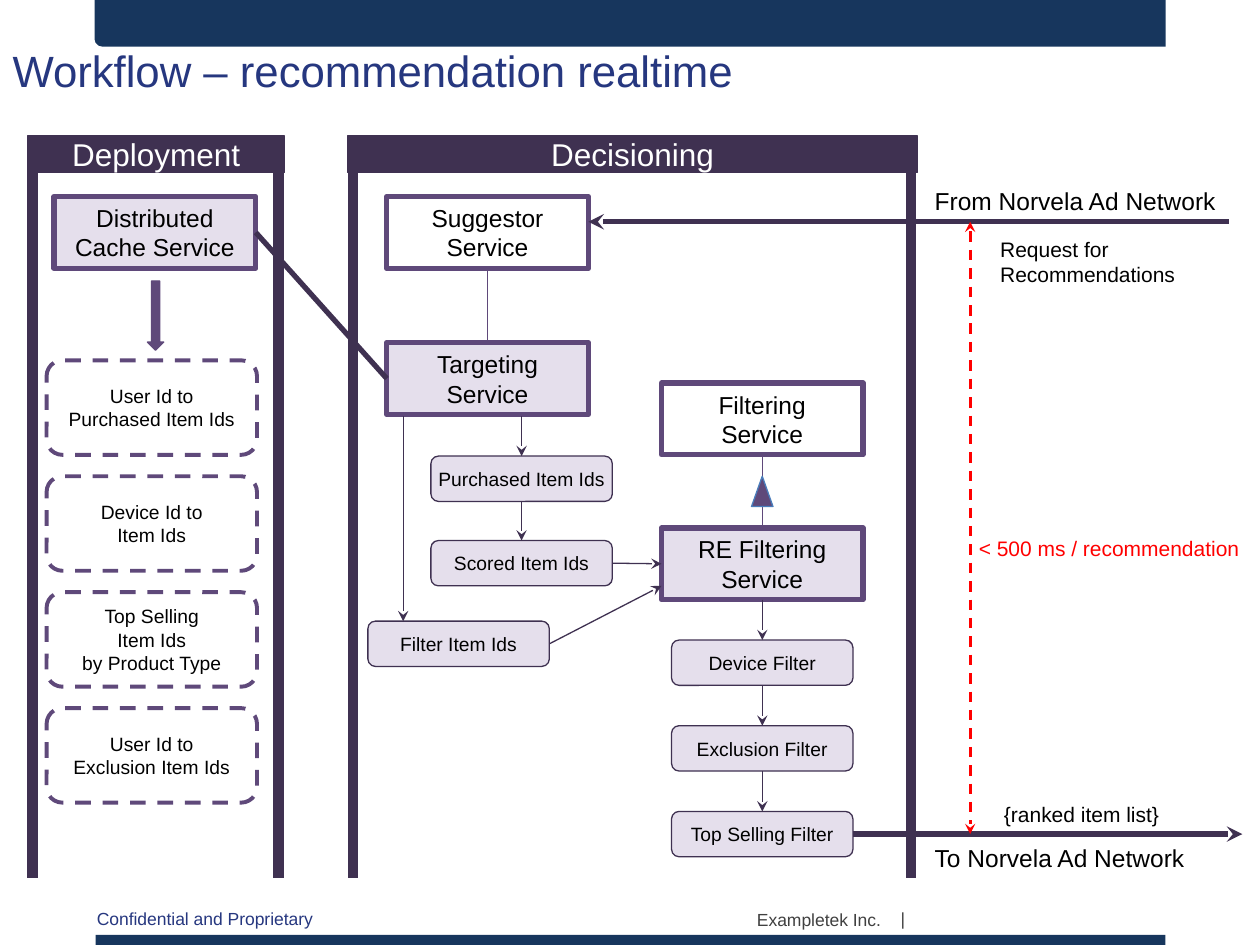
from lxml.etree import SubElement
from pptx import Presentation
from pptx.dml.color import RGBColor
from pptx.enum.dml import MSO_LINE
from pptx.enum.shapes import MSO_CONNECTOR, MSO_SHAPE as Shape
from pptx.enum.text import MSO_ANCHOR as Anchor, PP_ALIGN as Align
from pptx.oxml.ns import qn
from pptx.util import Inches, Pt

NAVY = RGBColor(0x17, 0x36, 0x5D)
BLUE = RGBColor(0x26, 0x37, 0x7F)
DARK = RGBColor(0x3F, 0x31, 0x51)
PURPLE = RGBColor(0x5F, 0x49, 0x7A)
LILAC = RGBColor(0xE5, 0xDF, 0xEC)
EDGE = RGBColor(0x4A, 0x7D, 0xBB)
GREY = RGBColor(0x40, 0x40, 0x40)
RED = RGBColor(0xFF, 0x00, 0x00)
BLACK = RGBColor(0x00, 0x00, 0x00)
WHITE = RGBColor(0xFF, 0xFF, 0xFF)

COLUMNS, ROWS = 100, 75
TOP, LEFT, BOTTOM, RIGHT = range(4)


def write(frame, text, size=11, color=BLACK, align=Align.CENTER,
          anchor=Anchor.MIDDLE, inset=0.0):
    """Fill a text frame, one paragraph for each line of text."""
    frame.word_wrap = True
    frame.vertical_anchor = anchor
    frame.margin_left = frame.margin_right = Inches(inset)
    frame.margin_top = frame.margin_bottom = Inches(inset / 2)
    for index, line in enumerate(text.split("\n")):
        paragraph = frame.add_paragraph() if index else frame.paragraphs[0]
        paragraph.text = line
        paragraph.alignment = align
        paragraph.font.name = "Arial"
        paragraph.font.size = Pt(size)
        paragraph.font.color.rgb = color


class Diagram:
    """Draws on one slide, in grid columns and rows."""

    def __init__(self, presentation):
        self.column = presentation.slide_width / COLUMNS
        self.row = presentation.slide_height / ROWS
        self.slide = presentation.slides.add_slide(presentation.slide_layouts[5])

    def place(self, *lengths):
        units = (self.column, self.row) * 2
        return [round(length * unit) for length, unit in zip(lengths, units)]

    def title(self, text):
        title = self.slide.shapes.title
        title.left, title.top, title.width, title.height = self.place(0, 3, 90, 12.5)
        write(title.text_frame, text, size=25, color=BLUE, align=Align.LEFT,
              anchor=Anchor.TOP, inset=0.1)

    def shape(self, kind, box, fill=None, line=None, width=0.75, text="", **style):
        shape = self.slide.shapes.add_shape(kind, *self.place(*box))
        shape.shadow.inherit = False
        if fill is None:
            shape.fill.background()
        else:
            shape.fill.solid()
            shape.fill.fore_color.rgb = fill
        if line is None:
            shape.line.fill.background()
        else:
            shape.line.color.rgb = line
            shape.line.width = Pt(width)
        if text:
            write(shape.text_frame, text, **style)
        return shape

    def label(self, box, text, align=Align.LEFT, anchor=Anchor.TOP, **style):
        text_box = self.slide.shapes.add_textbox(*self.place(*box))
        write(text_box.text_frame, text, align=align, anchor=anchor, inset=0.1, **style)

    def service(self, left, top, text, fill=None):
        return self.shape(Shape.RECTANGLE, (left, top, 16, 5.7), fill, PURPLE, 3,
                          text, size=14)

    def step(self, left, top, text):
        return self.shape(Shape.ROUNDED_RECTANGLE, (left, top, 14.4, 3.6), LILAC,
                          DARK, text=text)

    def cache(self, top, text):
        shape = self.shape(Shape.ROUNDED_RECTANGLE, (3.7, top, 16.7, 7.5), None,
                           PURPLE, 2.25, text)
        shape.line.dash_style = MSO_LINE.DASH

    def lane(self, left, right, text):
        for column in (left + 0.4, right - 0.5):
            self.connect((column, 11.8), (column, 69.7), width=6)
        self.shape(Shape.RECTANGLE, (left, 10.8, right - left, 2.9), DARK, DARK,
                   text=text, size=18, color=WHITE)

    def end_point(self, end):
        """Position of an end given as (column, row) or as (shape, side)."""
        target, side = end
        if isinstance(target, (int, float)):
            return self.place(target, side)
        across, down = {TOP: (1, 0), LEFT: (0, 1), BOTTOM: (1, 2), RIGHT: (2, 1)}[side]
        return [target.left + target.width * across // 2,
                target.top + target.height * down // 2]

    def connect(self, start, end, color=DARK, width=0.75, arrows=(), dash=None):
        connector = self.slide.shapes.add_connector(
            MSO_CONNECTOR.STRAIGHT, *self.end_point(start), *self.end_point(end))
        for (target, side), join in ((start, connector.begin_connect),
                                     (end, connector.end_connect)):
            if not isinstance(target, (int, float)):
                join(target, side)
        connector.line.color.rgb = color
        connector.line.width = Pt(width)
        if dash:
            connector.line.dash_style = dash
        properties = connector._element.spPr
        for arrow in arrows:
            SubElement(properties.find(qn("a:ln")), qn(f"a:{arrow}"), type="stealth")
        SubElement(properties, qn("a:effectLst"))

    def arrow(self, start, end, **style):
        self.connect(start, end, arrows=("tailEnd",), **style)


def draw_frame(diagram):
    diagram.shape(Shape.RECTANGLE, (7.6, 74.2, 84.9, 0.8), NAVY)
    diagram.shape(Shape.ROUND_1_RECTANGLE, (7.5, 0, 85, 3.7), NAVY).rotation = 180
    diagram.label((6.7, 71.6, 22, 2.7), "Confidential and Proprietary", size=10, color=BLUE)
    diagram.label((39.2, 71, 31.7, 4), "Exampletek Inc.", size=10, color=GREY,
                  align=Align.RIGHT, anchor=Anchor.MIDDLE)
    diagram.label((70.5, 71.6, 3.3, 2.7), "|", size=10, color=GREY)
    diagram.title("Workflow – recommendation realtime")


def draw_deployment(diagram):
    """Draw the deployment lane and return its cache service."""
    diagram.lane(2.2, 22.6, "Deployment")
    service = diagram.service(4.3, 15.6, "Distributed\nCache Service", LILAC)
    diagram.shape(Shape.DOWN_ARROW, (11.7, 22.3, 1.3, 5.5), PURPLE, PURPLE)
    caches = ("User Id to\nPurchased Item Ids", "Device Id to\nItem Ids",
              "Top Selling\nItem Ids\nby Product Type", "User Id to\nExclusion Item Ids")
    for index, text in enumerate(caches):
        diagram.cache(28.6 + 9.2 * index, text)
    return service


def draw_decisioning(diagram, cache_service):
    """Draw the decisioning lane and return its last step."""
    diagram.lane(27.6, 72.8, "Decisioning")
    suggestor = diagram.service(30.7, 15.6, "Suggestor\nService")
    targeting = diagram.service(30.7, 27.2, "Targeting\nService", LILAC)
    filtering = diagram.service(52.5, 30.4, "Filtering\nService")
    re_filtering = diagram.service(52.5, 41.9, "RE Filtering\nService", LILAC)
    diagram.connect((targeting, TOP), (suggestor, BOTTOM), color=PURPLE)
    diagram.connect((re_filtering, TOP), (filtering, BOTTOM), color=PURPLE)
    diagram.shape(Shape.ISOSCELES_TRIANGLE, (59.65, 37.8, 1.7, 2.4), PURPLE, EDGE)
    diagram.connect((cache_service, RIGHT), (targeting, LEFT), width=3)

    purchased = diagram.step(34.2, 36.2, "Purchased Item Ids")
    scored = diagram.step(34.2, 42.9, "Scored Item Ids")
    filtered = diagram.step(29.2, 49.3, "Filter Item Ids")
    diagram.arrow((41.4, 33), (purchased, TOP))
    diagram.arrow((purchased, BOTTOM), (scored, TOP))
    diagram.arrow((32, 33), (32, 49.3))
    diagram.arrow((scored, RIGHT), (re_filtering, LEFT))
    diagram.arrow((filtered, RIGHT), (52.5, 46.5))

    previous = re_filtering
    for index, text in enumerate(("Device Filter", "Exclusion Filter", "Top Selling Filter")):
        step = diagram.step(53.3, 50.8 + 6.8 * index, text)
        diagram.arrow((previous, BOTTOM), (step, TOP))
        previous = step
    return previous


def draw_network(diagram, last_step):
    diagram.arrow((97.5, 17.6), (46.7, 17.6), width=3)
    diagram.arrow((last_step, RIGHT), (98.6, 66.2), width=3)
    diagram.connect((77, 17.6), (77, 66.2), color=RED, width=1.5,
                    arrows=("headEnd", "tailEnd"), dash=MSO_LINE.DASH)
    diagram.label((73.2, 14.3, 26, 3.4), "From Norvela Ad Network", size=14)
    diagram.label((78.4, 18.3, 17, 5), "Request for\nRecommendations", size=12)
    diagram.label((76.7, 42, 23.3, 3), "< 500 ms / recommendation", size=12, color=RED)
    diagram.label((78.7, 63.1, 15, 3), "{ranked item list}", size=12)
    diagram.label((73.2, 66.4, 24, 3.4), "To Norvela Ad Network", size=14)


def main():
    presentation = Presentation()
    presentation.slide_width, presentation.slide_height = Inches(10), Inches(7.5)
    diagram = Diagram(presentation)
    draw_frame(diagram)
    cache_service = draw_deployment(diagram)
    last_step = draw_decisioning(diagram, cache_service)
    draw_network(diagram, last_step)
    presentation.save("out.pptx")


if __name__ == "__main__":
    main()
